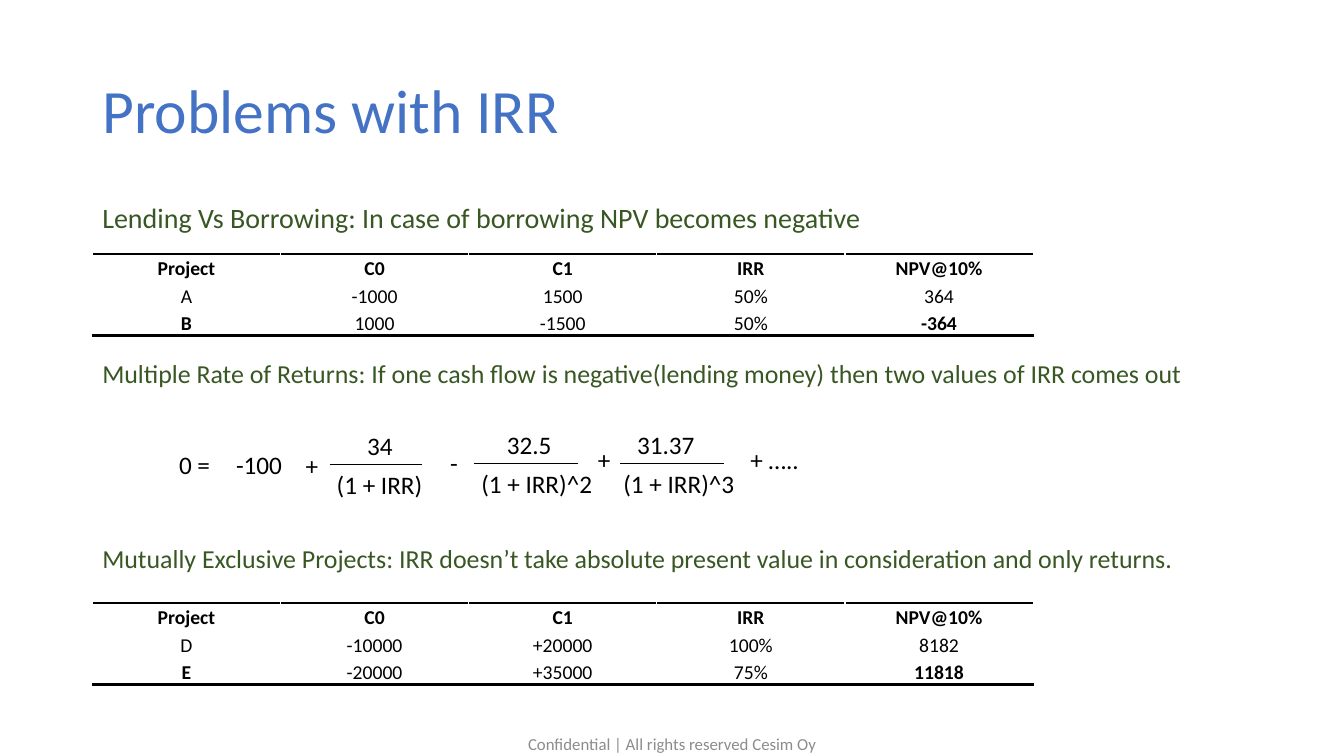
import lxml.etree
import pptx
import pptx.dml.color
import pptx.enum.shapes
import pptx.enum.text
import pptx.oxml.ns
import pptx.util

Pt = pptx.util.Pt
RGBColor = pptx.dml.color.RGBColor
ALIGN = pptx.enum.text.PP_ALIGN
ANCHOR = pptx.enum.text.MSO_ANCHOR
qn = pptx.oxml.ns.qn

BLUE = RGBColor(0x44, 0x72, 0xC4)
GREEN = RGBColor(0x38, 0x57, 0x23)
GREY = RGBColor(0x8C, 0x8C, 0x8C)
BLACK = RGBColor(0, 0, 0)
WHITE = RGBColor(255, 255, 255)

TITLE = "Problems with IRR"
FOOTER = "Confidential | All rights reserved Cesim Oy"

# text, top, size
HEADINGS = [
    ("Lending Vs Borrowing: In case of borrowing NPV becomes negative", 144, 20),
    ("Multiple Rate of Returns: If one cash flow is negative(lending money) "
     "then two values of IRR comes out", 256.3, 18.5),
    ("Mutually Exclusive Projects: IRR doesn’t take absolute present value "
     "in consideration and only returns.", 388.1, 18.5),
]

COLUMNS = ("Project", "C0", "C1", "IRR", "NPV@10%")
# top, rows
PROJECT_TABLES = [
    (181.4, [("A", "-1000", "1500", "50%", "364"),
             ("B", "1000", "-1500", "50%", "-364")]),
    (430.6, [("D", "-10000", "+20000", "100%", "8182"),
             ("E", "-20000", "+35000", "75%", "11818")]),
]
BOLD_CELLS = {(2, 0), (2, 4)}

# text, left, top, width
EQUATION_TERMS = [
    ("0 =", 118.5, 317.5, 41),
    ("-100", 158.4, 317.5, 53.3),
    ("+", 177.1, 318.2, 91.4),
    ("-", 278.6, 316.1, 91.4),
    ("+", 385.9, 313.9, 91.4),
    ("+ …..", 507.6, 313.9, 91.4),
]
# numerator, its centre, denominator, its centre, bar left, bar right, bar y
FRACTIONS = [
    ("34", 271.4, "(1 + IRR)", 271.1, 235.4, 301.7, 331.9),
    ("32.5", 378, "(1 + IRR)^2", 383.4, 338.4, 412.6, 331.2),
    ("31.37", 475.6, "(1 + IRR)^3", 484.9, 442.8, 517, 331.2),
]

LEFT, CONTENT_WIDTH = 66, 828
COLUMN_WIDTH, ROW_HEIGHT = 134.4, 19.44
TERM_HEIGHT, TERM_SIZE = 29, 18
NUMERATOR_RISE = 28.4
NUMERATOR_WIDTH, DENOMINATOR_WIDTH = 60, 110


def write(frame, text, size, color, align=ALIGN.LEFT, anchor=ANCHOR.TOP,
          spacing=1.0, bold=False):
    frame.word_wrap = True
    frame.vertical_anchor = anchor
    paragraph = frame.paragraphs[0]
    paragraph.text = text
    paragraph.alignment = align
    paragraph.line_spacing = spacing
    paragraph.space_before = Pt(0)
    font = paragraph.runs[0].font
    for attribute, value in {"name": "Calibri", "size": Pt(size), "bold": bold}.items():
        setattr(font, attribute, value)
    font.color.rgb = color


def add_text(slide, text, left, top, width, height, size, color, **formats):
    box = slide.shapes.add_textbox(Pt(left), Pt(top), Pt(width), Pt(height))
    write(box.text_frame, text, size, color, **formats)


def add_term(slide, text, left, top, width):
    add_text(slide, text, left, top, width, TERM_HEIGHT, TERM_SIZE, BLACK,
             align=ALIGN.CENTER)


def add_fraction(slide, numerator, numerator_centre, denominator,
                 denominator_centre, bar_left, bar_right, bar_y):
    add_term(slide, numerator, numerator_centre - NUMERATOR_WIDTH / 2,
             bar_y - NUMERATOR_RISE, NUMERATOR_WIDTH)
    add_term(slide, denominator, denominator_centre - DENOMINATOR_WIDTH / 2,
             bar_y, DENOMINATOR_WIDTH)
    bar = slide.shapes.add_connector(
        pptx.enum.shapes.MSO_CONNECTOR.STRAIGHT,
        Pt(bar_left), Pt(bar_y), Pt(bar_right), Pt(bar_y))
    bar.line.color.rgb = BLACK
    bar.line.width = Pt(0.5)
    lxml.etree.SubElement(bar._element.spPr, qn("a:effectLst"))


def add_border(cell, side):
    """Rule one side of a cell; the line must precede the fill in its XML."""
    properties = cell._tc.get_or_add_tcPr()
    line = lxml.etree.Element(qn(side), w=str(Pt(2)))
    fill = lxml.etree.SubElement(line, qn("a:solidFill"))
    lxml.etree.SubElement(fill, qn("a:srgbClr"), val=str(BLACK))
    properties.insert(0, line)


def add_project_table(slide, top, projects):
    rows = [COLUMNS, *projects]
    table = slide.shapes.add_table(
        len(rows), len(COLUMNS), Pt(LEFT), Pt(top),
        Pt(COLUMN_WIDTH * len(COLUMNS)), Pt(ROW_HEIGHT * len(rows))).table
    table.first_row = table.horz_banding = False
    for column in table.columns:
        column.width = Pt(COLUMN_WIDTH)
    margins = {"margin_left": 0.7, "margin_right": 0.7,
               "margin_top": 0.7, "margin_bottom": 0}
    for r, values in enumerate(rows):
        table.rows[r].height = Pt(ROW_HEIGHT)
        for c, value in enumerate(values):
            cell = table.cell(r, c)
            for attribute, margin in margins.items():
                setattr(cell, attribute, Pt(margin))
            cell.vertical_anchor = ANCHOR.BOTTOM
            cell.fill.solid()
            cell.fill.fore_color.rgb = WHITE
            paragraph = cell.text_frame.paragraphs[0]
            paragraph.text = value
            paragraph.alignment = ALIGN.CENTER
            font = paragraph.runs[0].font
            font.name = "Calibri"
            font.size = Pt(14)
            font.bold = r == 0 or (r, c) in BOLD_CELLS
            font.color.rgb = BLACK
            if r == 0:
                add_border(cell, "a:lnT")
            elif r == len(rows) - 1:
                add_border(cell, "a:lnB")


def main():
    deck = pptx.Presentation()
    deck.slide_width, deck.slide_height = Pt(960), Pt(540)
    slide = deck.slides.add_slide(deck.slide_layouts[5])

    title = slide.shapes.title
    title.left, title.top = Pt(LEFT), Pt(28.8)
    title.width, title.height = Pt(CONTENT_WIDTH), Pt(104.4)
    write(title.text_frame, TITLE, 44, BLUE, anchor=ANCHOR.MIDDLE, spacing=0.9)

    for text, top, size in HEADINGS:
        add_text(slide, text, LEFT, top, CONTENT_WIDTH, 27.4, size, GREEN, spacing=0.8)
    for top, projects in PROJECT_TABLES:
        add_project_table(slide, top, projects)
    for term in EQUATION_TERMS:
        add_term(slide, *term)
    for fraction in FRACTIONS:
        add_fraction(slide, *fraction)
    add_text(slide, FOOTER, 318.2, 522, 324, 18, 12, GREY,
             align=ALIGN.CENTER, anchor=ANCHOR.MIDDLE)
    deck.save("out.pptx")


if __name__ == "__main__":
    main()
